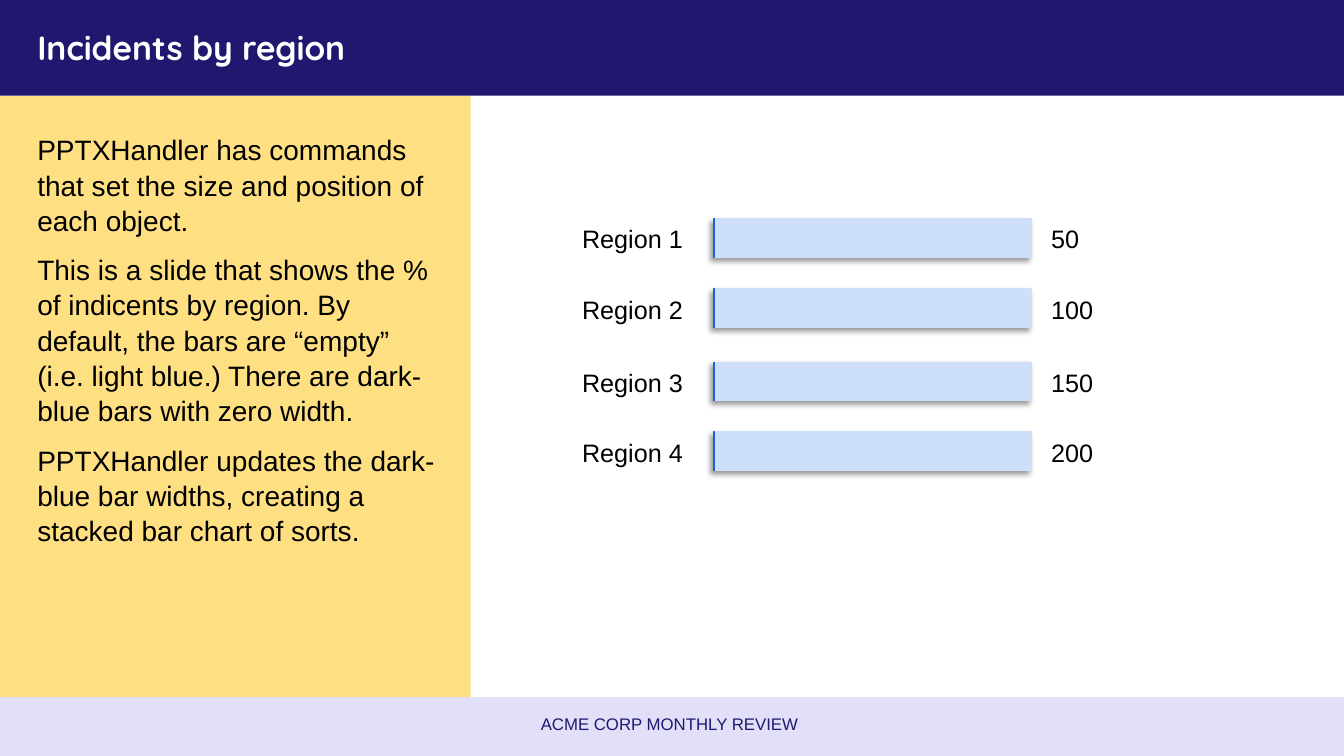
from lxml import etree
from pptx import Presentation
from pptx import util as u
from pptx.dml.color import RGBColor
from pptx.enum import shapes, text
from pptx.oxml import parse_xml
from pptx.oxml.ns import nsdecls, qn

NAVY = RGBColor(0x20, 0x18, 0x6F)
AMBER = RGBColor(0xFE, 0xC1, 0x07)
LILAC = RGBColor(0xC6, 0xC1, 0xF2)
LIGHT_BLUE = RGBColor(0xCE, 0xDF, 0xFA)
DARK_BLUE = RGBColor(0x17, 0x62, 0xDB)
WHITE = RGBColor(0xFF, 0xFF, 0xFF)
BLACK = RGBColor(0, 0, 0)

SHADOW = (
    f'<a:effectLst {nsdecls("a")}>'
    '<a:outerShdw blurRad="50800" dist="38100" dir="8100000" algn="tr" rotWithShape="0">'
    '<a:srgbClr val="000000"><a:alpha val="40000"/></a:srgbClr>'
    '</a:outerShdw></a:effectLst>'
)

prs = Presentation()
prs.slide_width, prs.slide_height = u.Cm(33.87), u.Cm(19.05)
s = prs.slides.add_slide(prs.slide_layouts[6])


def add_rect(x, y, w, h, color, outlined=False):
    sp = s.shapes.add_shape(shapes.MSO_SHAPE.RECTANGLE, u.Cm(x), u.Cm(y), u.Cm(w), u.Cm(h))
    sp.shadow.inherit = False
    sp.fill.solid()
    sp.fill.fore_color.rgb = color
    if outlined:
        sp.line.color.rgb = color
        sp.line.width = u.Pt(1)
    else:
        sp.line.fill.background()
    return sp


def add_text(x, y, w, h, paragraphs, size, color=BLACK, font="Arial", bold=False,
             align=text.PP_ALIGN.LEFT, anchor=text.MSO_ANCHOR.TOP):
    tf = s.shapes.add_textbox(u.Cm(x), u.Cm(y), u.Cm(w), u.Cm(h)).text_frame
    tf.word_wrap = True
    tf.vertical_anchor = anchor
    for i, words in enumerate(paragraphs):
        p = tf.add_paragraph() if i else tf.paragraphs[0]
        p.alignment = align
        r = p.add_run()
        r.text = words
        r.font.name = font
        r.font.size = u.Pt(size)
        r.font.bold = bold
        r.font.color.rgb = color
    return tf


side_panel = add_rect(0, 2.41, 11.86, 15.16, AMBER)
footer_band = add_rect(0, 17.57, 33.87, 1.48, LILAC)
for sp in (side_panel, footer_band):
    clr = sp.fill._xPr.find(qn("a:solidFill"))[0]
    etree.SubElement(clr, qn("a:alpha")).set("val", "50000")
add_rect(0, 0, 33.87, 2.41, NAVY)

add_text(0.69, 0.3, 32.51, 1.78, ["Incidents by region"], 24, WHITE, "Quicksand", True,
         anchor=text.MSO_ANCHOR.MIDDLE)

tf = add_text(0.69, 3.18, 10.54, 14.22, [
    "PPTXHandler has commands that set the size and position of each object.",
    "This is a slide that shows the % of indicents by region. By default, the bars are “empty” "
    "(i.e. light blue.) There are dark-blue bars with zero width.",
    "PPTXHandler updates the dark-blue bar widths, creating a stacked bar chart of sorts.",
], 20)
for p in tf.paragraphs:
    p.space_before = u.Pt(10)
    p.line_spacing = 1.05

add_text(5.18, 17.73, 23.39, 1.02, ["ACME CORP MONTHLY REVIEW"], 12, NAVY,
         align=text.PP_ALIGN.CENTER, anchor=text.MSO_ANCHOR.MIDDLE)

regions = [
    ("Region 1", "50", 5.51),
    ("Region 2", "100", 7.28),
    ("Region 3", "150", 9.13),
    ("Region 4", "200", 10.89),
]
for region, incidents, top in regions:
    bar = add_rect(17.98, top, 8, 0.97, LIGHT_BLUE, outlined=True)
    spPr = bar._element.spPr
    spPr.replace(spPr.find(qn("a:effectLst")), parse_xml(SHADOW))
    add_text(14.38, top, 3.12, 1.02, [region], 18, align=text.PP_ALIGN.CENTER)
    add_text(26.24, top, 6.12, 1.02, [incidents], 18)
    add_rect(17.98, top, 0.03, 0.97, DARK_BLUE, outlined=True)

prs.save("out.pptx")
